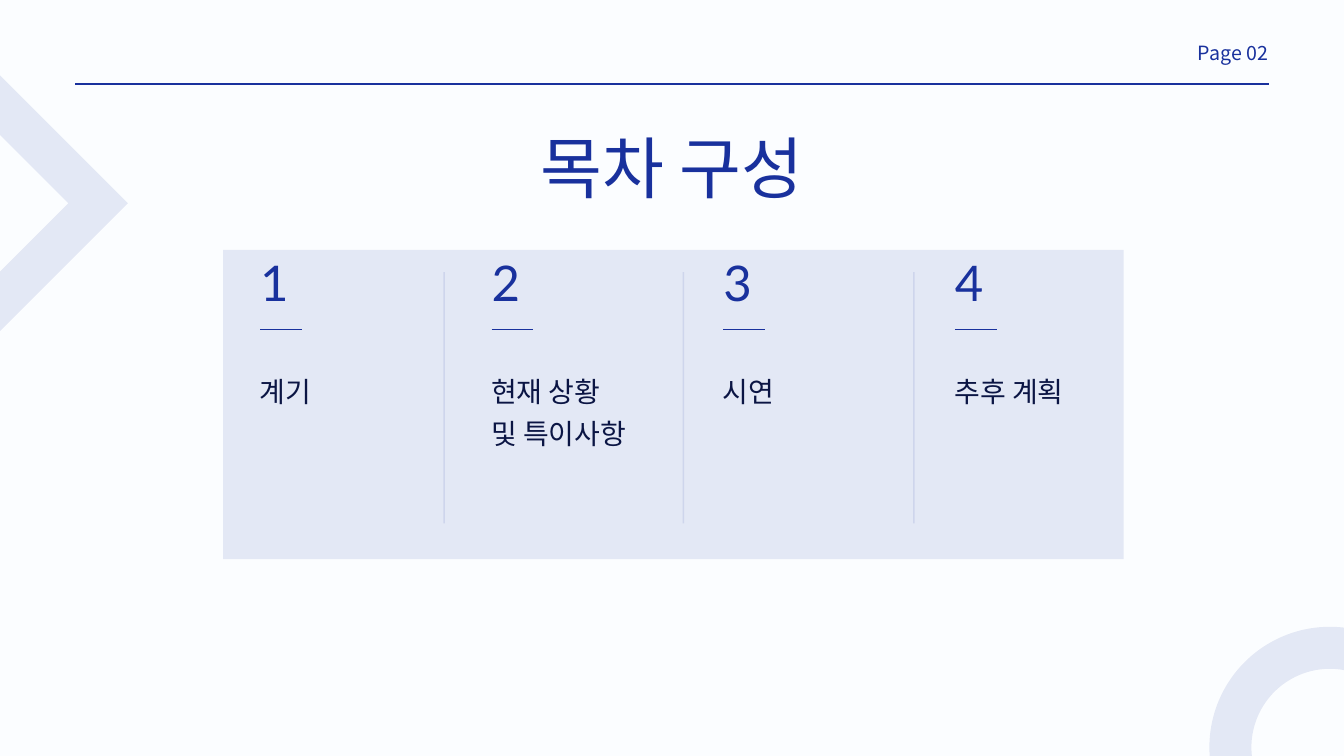
import pptx
import pptx.util
import pptx.dml.color
import pptx.enum.shapes
import pptx.enum.text
import pptx.oxml
import pptx.oxml.ns

Inches, Pt = pptx.util.Inches, pptx.util.Pt
RGBColor = pptx.dml.color.RGBColor
SHAPE = pptx.enum.shapes.MSO_SHAPE
ALIGN = pptx.enum.text.PP_ALIGN
qn = pptx.oxml.ns.qn

BLUE = RGBColor(0x19, 0x31, 0x9D)
NAVY = RGBColor(0x0B, 0x15, 0x44)
PALE = RGBColor(0xFB, 0xFD, 0xFF)
LATIN, HANGUL = "Lato", "Noto Sans CJK KR"


def add(parent, tag, **attrs):
    node = pptx.oxml.parse_xml(f'<a:{tag} {pptx.oxml.ns.nsdecls("a")}/>')
    for key, value in attrs.items():
        node.set(key, value)
    parent.append(node)


def fade(part, alpha):
    """Set the opacity, in percent, of the solid colour inside a fill or line."""
    color = next(part.iter(qn("a:srgbClr")))
    add(color, "alpha", val=str(alpha * 1000))


def write(shape, text, size, font=HANGUL, color=BLUE, align=ALIGN.LEFT, lead=None):
    """Fill a text frame, one paragraph for each line of text."""
    frame = shape.text_frame
    frame.word_wrap = True
    frame.auto_size = pptx.enum.text.MSO_AUTO_SIZE.NONE
    frame.vertical_anchor = pptx.enum.text.MSO_ANCHOR.TOP
    frame.margin_left = frame.margin_right = 0
    frame.margin_top = frame.margin_bottom = 0
    for i, line in enumerate(text.split("\n")):
        para = frame.paragraphs[0] if i == 0 else frame.add_paragraph()
        para.alignment = align
        para.line_spacing = Pt(lead)
        para.space_before = Pt(0)
        run = para.add_run()
        run.text = line
        run.font.size = Pt(size)
        run.font.color.rgb = color
        run.font.name = font
        add(run.font._element, "ea", typeface=HANGUL)


class Page:
    def __init__(self, deck):
        self.slide = deck.slides.add_slide(deck.slide_layouts[5])
        self.shapes = self.slide.shapes
        fill = self.slide.background.fill
        fill.solid()
        fill.fore_color.rgb = PALE

    def title(self, text, x, y, w, h, **style):
        shape = self.shapes.title
        shape.left, shape.top = Inches(x), Inches(y)
        shape.width, shape.height = Inches(w), Inches(h)
        write(shape, text, **style)

    def text(self, text, x, y, w, h, **style):
        box = self.shapes.add_textbox(Inches(x), Inches(y), Inches(w), Inches(h))
        write(box, text, **style)

    def shape(self, kind, x, y, w, h):
        shape = self.shapes.add_shape(kind, Inches(x), Inches(y), Inches(w), Inches(h))
        shape.shadow.inherit = False
        return shape

    def panel(self, x, y, w, h):
        shape = self.shape(SHAPE.RECTANGLE, x, y, w, h)
        shape.fill.solid()
        shape.fill.fore_color.rgb = BLUE
        fade(shape._element.spPr, 10)
        shape.line.fill.background()

    def band(self, kind, x, y, size):
        """Draw a hollow shape with a thick, faint outline."""
        shape = self.shape(kind, x, y, size, size)
        shape.fill.background()
        shape.line.color.rgb = BLUE
        shape.line.width = Pt(45)
        outline = shape.line._get_or_add_ln()
        fade(outline, 10)
        add(outline, "miter", lim="800000")

    def rule(self, x1, y1, x2, y2, width=1.5, alpha=100):
        line = self.shapes.add_connector(
            pptx.enum.shapes.MSO_CONNECTOR.STRAIGHT,
            Inches(x1), Inches(y1), Inches(x2), Inches(y2))
        line.line.color.rgb = BLUE
        line.line.width = Pt(width)
        if alpha < 100:
            fade(line.line._get_or_add_ln(), alpha)
        add(line._element.spPr, "effectLst")


def main():
    deck = pptx.Presentation()
    deck.slide_width, deck.slide_height = Inches(20), Inches(11.25)
    page = Page(deck)

    page.band(SHAPE.OVAL, 18.31, 9.64, 2.96)
    page.band(SHAPE.DIAMOND, -1.47, 1.56, 2.93)
    page.panel(3.32, 3.72, 13.4, 4.6)
    page.rule(1.12, 1.25, 18.88, 1.25, width=2.25)
    page.title("목차 구성", 5.41, 2.1, 9.18, 1.22,
               size=72, font=LATIN, align=ALIGN.CENTER, lead=70.5)
    page.text("Page 02", 14, 0.52, 4.87, 0.42,
              size=21, align=ALIGN.RIGHT, lead=32.1)

    topics = ["계기", "현재 상황\n및 특이사항", "시연", "추후 계획"]
    for i, topic in enumerate(topics):
        x = 3.87 + i * 3.447
        page.text(str(i + 1), x, 3.91, 1.03, 0.88, size=52.6, font=LATIN, lead=51.6)
        page.rule(x, 4.9, x + 0.62, 4.9)
        page.text(topic, x - 0.01, 5.43, 2.4, 0.61 * (1 + topic.count("\n")),
                  size=30, color=NAVY, lead=45.9)

    for x in (6.61, 10.17, 13.6):
        page.rule(x, 4.05, x, 7.79, alpha=10)

    deck.save("out.pptx")


if __name__ == "__main__":
    main()
